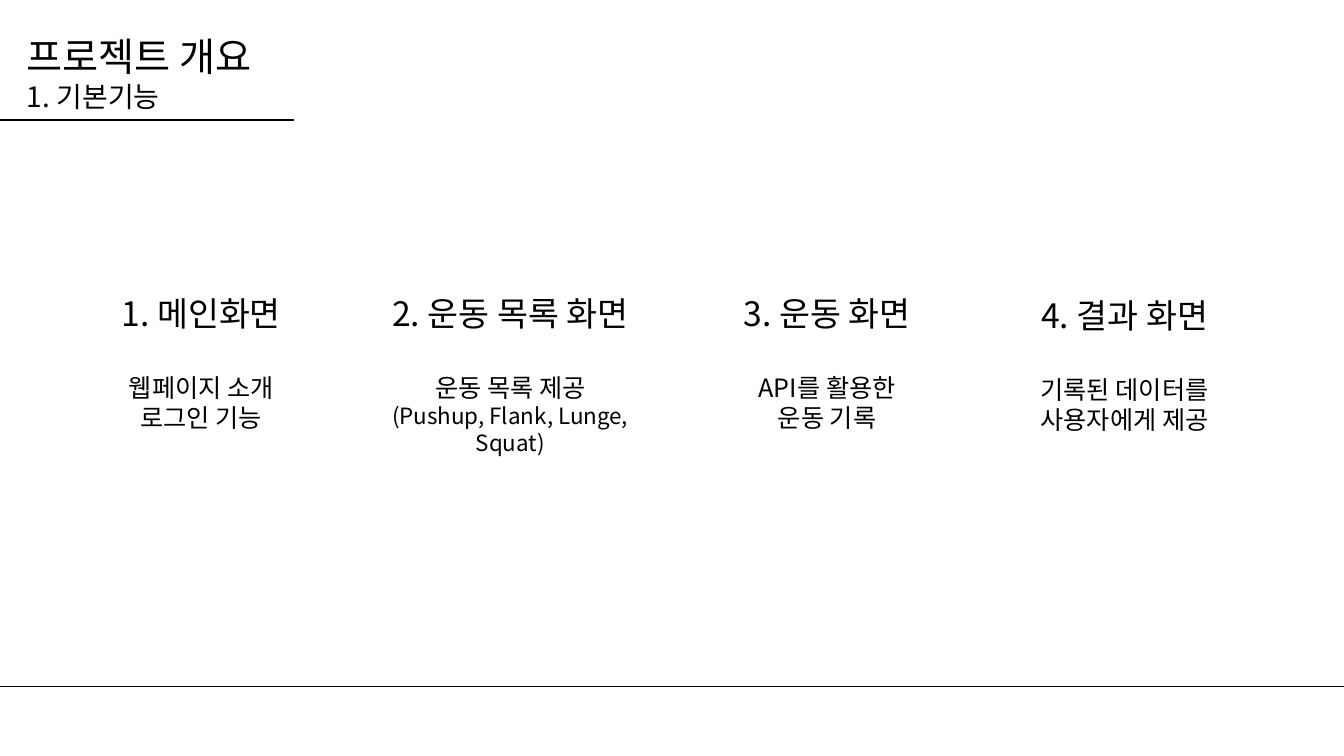
from lxml import etree
from pptx import Presentation
from pptx.dml.color import RGBColor
from pptx.enum.shapes import MSO_CONNECTOR
from pptx.enum.text import MSO_ANCHOR, MSO_AUTO_SIZE, PP_ALIGN
from pptx.oxml.ns import qn
from pptx.util import Pt

LEFT, CENTER = PP_ALIGN.LEFT, PP_ALIGN.CENTER
TOP, FIXED = MSO_ANCHOR.TOP, MSO_AUTO_SIZE.NONE
STRAIGHT = MSO_CONNECTOR.STRAIGHT
FONT = "Noto Sans CJK KR"
COLORS = {"ink": "000000"}
INK = RGBColor.from_string(COLORS["ink"])
WIDTH, HEIGHT = 960, 540
GAP = 28

# Left, top, width, then lines of text with their sizes
CARDS = [
    (57, 205.5, 173.5, [("1. 메인화면", 24), ("웹페이지 소개", 18),
                        ("로그인 기능", 18)]),
    (249, 205.5, 231, [("2. 운동 목록 화면", 24), ("운동 목록 제공", 18),
                       ("(Pushup, Flank, Lunge, Squat)", 16)]),
    (504, 205.5, 173.5, [("3. 운동 화면", 24), ("API를 활용한", 18),
                         ("운동 기록", 18)]),
    (716.5, 207, 173.5, [("4. 결과 화면", 24), ("기록된 데이터를", 18),
                         ("사용자에게 제공", 18)]),
]


def add_rule(slide, y, width, weight):
    rule = slide.shapes.add_connector(STRAIGHT, 0, Pt(y), Pt(width), Pt(y))
    rule.line.color.rgb = INK
    rule.line.width = Pt(weight)
    etree.SubElement(rule._element.spPr, qn("a:effectLst"))


def fill_text(frame, lines, align):
    frame.word_wrap = True
    frame.auto_size = FIXED
    frame.vertical_anchor = TOP
    for i, (text, size) in enumerate(lines):
        para = frame.paragraphs[0] if i == 0 else frame.add_paragraph()
        para.text = text
        para.alignment = align
        font = para.font
        font.name = FONT
        font.size = Pt(size)
        font.color.rgb = INK
        east = etree.SubElement(font._element, qn("a:ea"))
        east.set("typeface", FONT)


def add_title(slide):
    title = slide.shapes.title
    title.left, title.top = Pt(12), Pt(19.5)
    title.width, title.height = Pt(243.5), Pt(65.5)
    lines = [("프로젝트 개요", 28), ("1. 기본기능", 20)]
    fill_text(title.text_frame, lines, LEFT)


def add_card(slide, left, top, width, lines):
    box = slide.shapes.add_textbox(Pt(left), Pt(top), Pt(width), Pt(108))
    fill_text(box.text_frame, lines, CENTER)
    box.text_frame.paragraphs[1].space_before = Pt(GAP)


def main():
    deck = Presentation()
    deck.slide_width, deck.slide_height = Pt(WIDTH), Pt(HEIGHT)
    slide = deck.slides.add_slide(deck.slide_layouts[5])
    add_rule(slide, 490.5, WIDTH, 0.5)
    add_rule(slide, 85.5, 210, 1.5)
    add_title(slide)
    for card in CARDS:
        add_card(slide, *card)
    deck.save("out.pptx")


if __name__ == "__main__":
    main()
